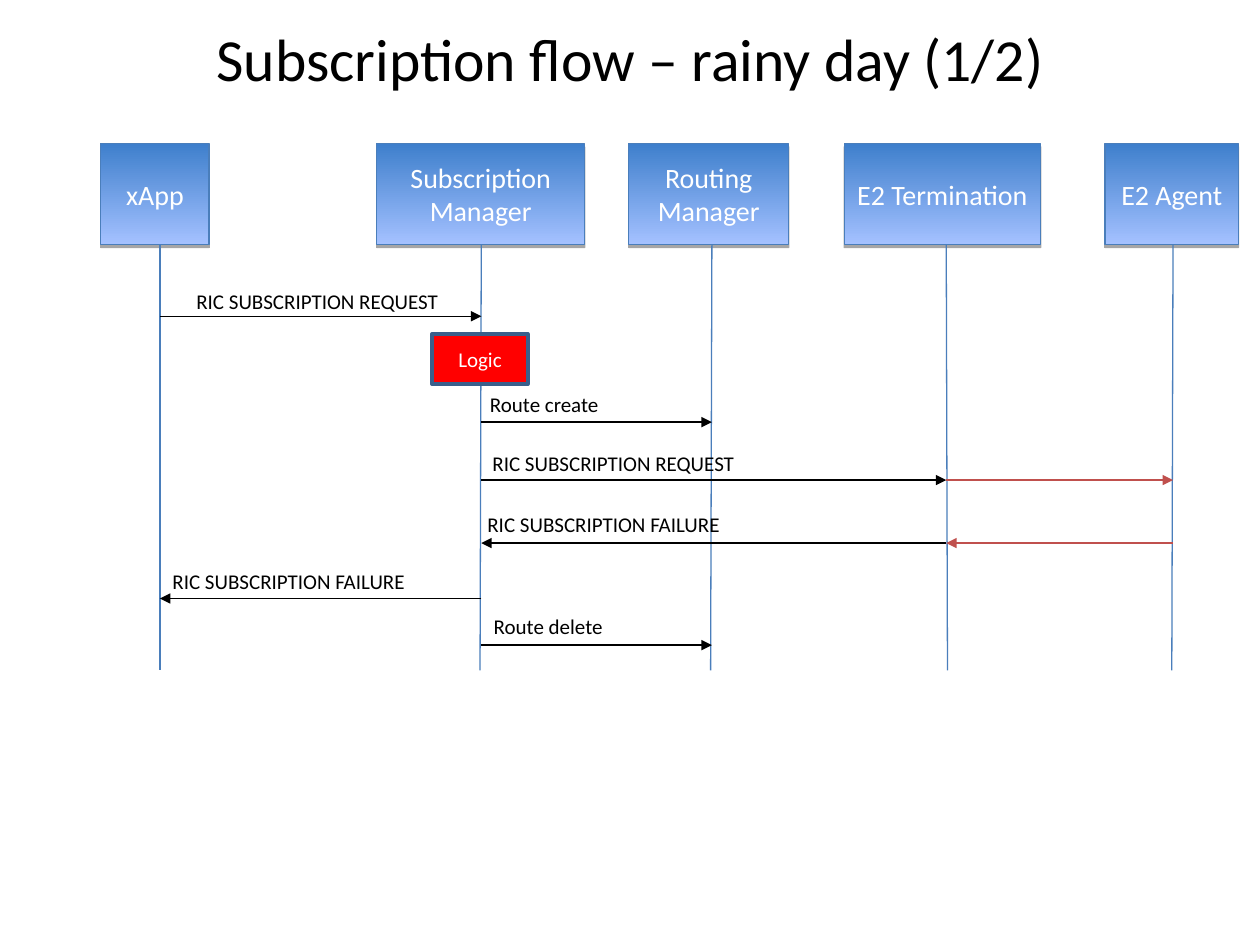
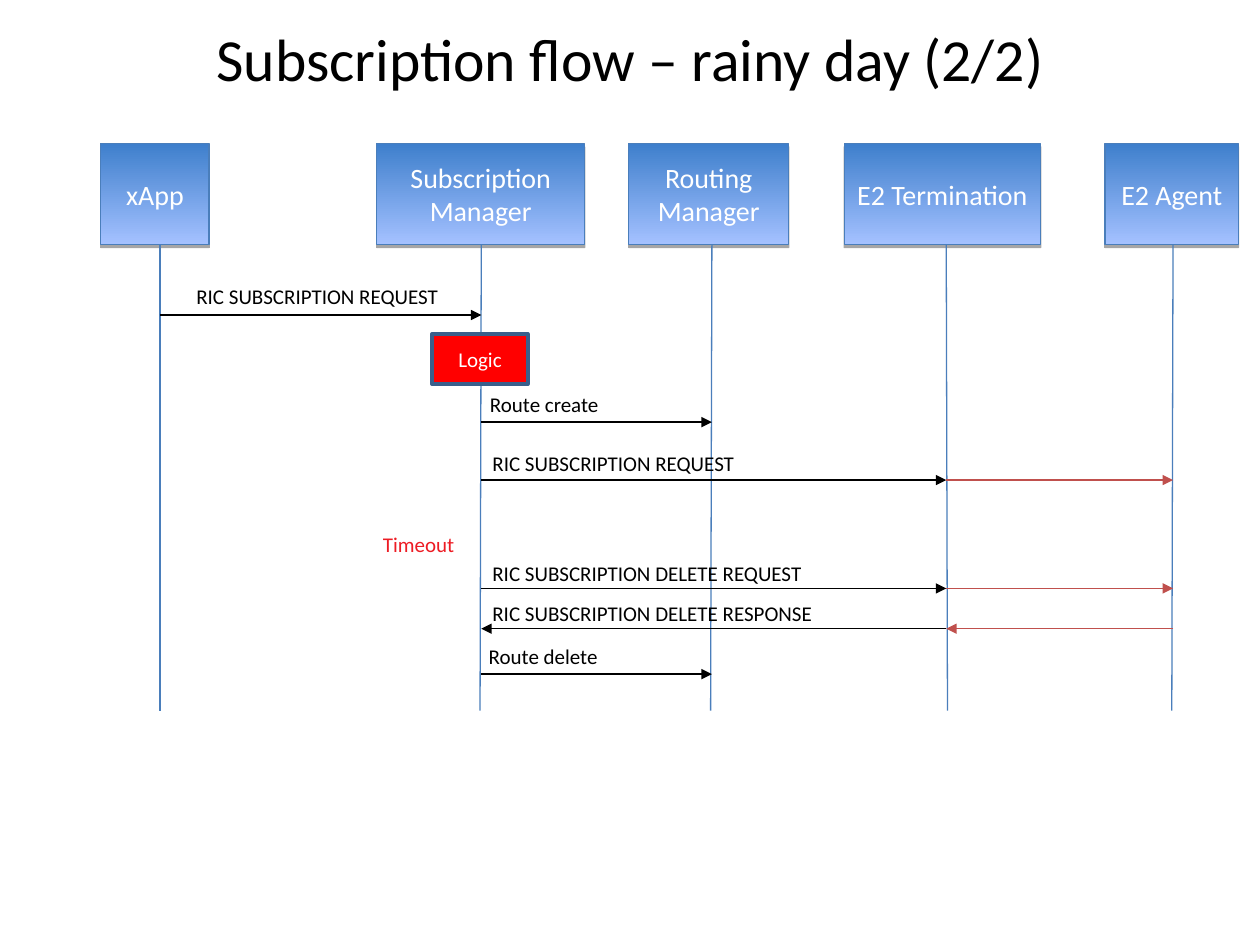
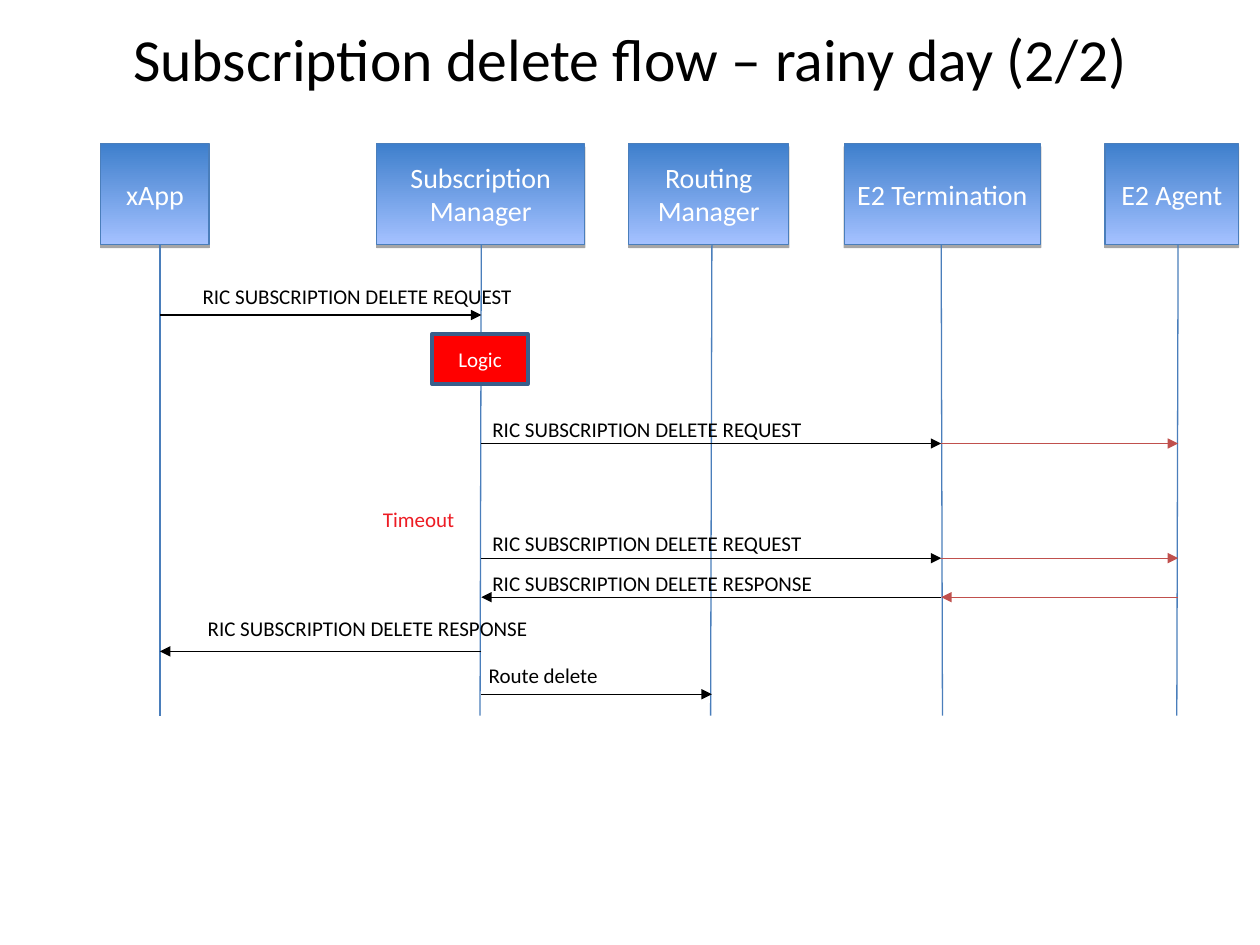
"""Build three sequence diagrams of subscription flows on a rainy day."""
from itertools import pairwise

from pptx import Presentation
from pptx.dml.color import RGBColor
from pptx.enum.shapes import MSO_CONNECTOR, MSO_SHAPE
from pptx.enum.text import MSO_ANCHOR, PP_ALIGN
from pptx.oxml.ns import qn
from pptx.util import Inches, Pt
from lxml.etree import SubElement

FONT = "Calibri"
COLORS = {
    "text": "000000", "white": "FFFFFF", "timeout": "ED1C24",
    "actor_top": "3E7FCC", "actor_bottom": "A4C1FF", "lifeline": "4A7EBB",
    "logic": "FF0000", "logic_line": "3A5F8B",
    "message": "000000", "agent_message": "C0504D",
}

ACTOR_TOP, ACTOR_HEIGHT = 1.14, 0.8
LIFELINE_TOP = ACTOR_TOP + ACTOR_HEIGHT
LABEL_HEIGHT = 0.3

# name: (text, left, width, lean of the lifeline)
ACTORS = {
    "app": ("xApp", 0.8, 0.86, 0),
    "sub": ("Subscription Manager", 2.99, 1.65, -0.01),
    "route": ("Routing\nManager", 4.99, 1.27, -0.01),
    "term": ("E2 Termination", 6.7, 1.56, 0.01),
    "agent": ("E2 Agent", 8.77, 1.06, -0.01),
}
LIFELINES = {"app": 1.27, "sub": 3.82, "route": 5.65, "term": 7.51, "agent": 9.31}

ASK = ("app", "sub")
ANSWER = ("sub", "app")
ROUTE = ("sub", "route")
FORWARD = ("sub", "term", "agent")
RETURN = ("agent", "term", "sub")

REQUEST = "RIC SUBSCRIPTION REQUEST"
FAILURE = "RIC SUBSCRIPTION FAILURE"
DELETE_REQUEST = "RIC SUBSCRIPTION DELETE REQUEST"
DELETE_RESPONSE = "RIC SUBSCRIPTION DELETE RESPONSE"

# messages: (actors passed, y, text, label left, label top, label width)
FLOWS = [
    {
        "title": "Subscription flow – rainy day (1/2)",
        "lifelines": LIFELINES, "bottom": 5.32, "timeout": None,
        "messages": [
            (ASK, 2.51, REQUEST, 1.46, 2.24, 2.12),
            (ROUTE, 3.35, "Route create", 3.79, 3.06, 1.33),
            (FORWARD, 3.81, REQUEST, 3.81, 3.53, 2.65),
            (RETURN, 4.31, FAILURE, 3.77, 4.01, 2.53),
            (ANSWER, 4.75, FAILURE, 1.27, 4.46, 2.55),
            (ROUTE, 5.12, "Route delete", 3.82, 4.82, 1.38),
        ],
    },
    {
        "title": "Subscription flow – rainy day (2/2)",
        "lifelines": LIFELINES, "bottom": 5.64, "timeout": 4.17,
        "messages": [
            (ASK, 2.5, REQUEST, 1.46, 2.2, 2.12),
            (ROUTE, 3.35, "Route create", 3.79, 3.06, 1.33),
            (FORWARD, 3.81, REQUEST, 3.81, 3.53, 2.65),
            (FORWARD, 4.67, DELETE_REQUEST, 3.81, 4.4, 3.36),
            (RETURN, 4.99, DELETE_RESPONSE, 3.81, 4.72, 3.47),
            (ROUTE, 5.35, "Route delete", 3.78, 5.06, 1.38),
        ],
    },
    {
        "title": "Subscription delete flow – rainy day (2/2)",
        "lifelines": LIFELINES | {"term": 7.47, "agent": 9.35},
        "bottom": 5.68, "timeout": 3.97,
        "messages": [
            (ASK, 2.5, DELETE_REQUEST, 1.51, 2.2, 2.74),
            (FORWARD, 3.52, DELETE_REQUEST, 3.81, 3.26, 3.36),
            (FORWARD, 4.43, DELETE_REQUEST, 3.81, 4.16, 3.36),
            (RETURN, 4.74, DELETE_RESPONSE, 3.81, 4.48, 3.44),
            (ANSWER, 5.17, DELETE_RESPONSE, 1.55, 4.84, 2.8),
            (ROUTE, 5.51, "Route delete", 3.78, 5.21, 1.38),
        ],
    },
]


def rgb(name):
    return RGBColor.from_string(COLORS[name])


def set_text(sp, text, size, color, align=PP_ALIGN.CENTER, anchor=MSO_ANCHOR.MIDDLE):
    tf = sp.text_frame
    tf.word_wrap = True
    tf.vertical_anchor = anchor
    tf.text = text
    for p in tf.paragraphs:
        p.alignment = align
        p.font.name, p.font.size = FONT, Pt(size)
        p.font.color.rgb = rgb(color)
    return tf


def add_title(s, text):
    sp = s.shapes.add_textbox(Inches(0.5), Inches(0.22), Inches(9), Inches(0.58))
    set_text(sp, text, 34.1, "text").paragraphs[0].line_spacing = 0.8


def add_label(s, text, left, top, width, color="text"):
    sp = s.shapes.add_textbox(Inches(left), Inches(top), Inches(width), Inches(LABEL_HEIGHT))
    set_text(sp, text, 12, color, PP_ALIGN.LEFT, MSO_ANCHOR.TOP)


def add_box(s, left, top, width, height, line, line_width):
    sp = s.shapes.add_shape(MSO_SHAPE.RECTANGLE, Inches(left), Inches(top),
                            Inches(width), Inches(height))
    sp.shadow.inherit = False
    sp.line.color.rgb = rgb(line)
    sp.line.width = Pt(line_width)
    return sp


def add_actor(s, text, left, width):
    sp = add_box(s, left, ACTOR_TOP, width, ACTOR_HEIGHT, "lifeline", 0.75)
    sp.fill.gradient()
    sp.fill.gradient_angle = 270
    for stop, color in zip(sp.fill.gradient_stops, ("actor_top", "actor_bottom")):
        stop.color.rgb = rgb(color)
    effects = sp._element.spPr.find(qn("a:effectLst"))
    shadow = SubElement(effects, qn("a:outerShdw"), dist=str(Pt(1.8)), dir="5400000",
                        rotWithShape="0")
    black = SubElement(shadow, qn("a:srgbClr"), val="000000")
    SubElement(black, qn("a:alpha"), val="35000")
    set_text(sp, text, 16, "white")


def add_logic(s):
    sp = add_box(s, 3.43, 2.65, 0.76, 0.4, "logic_line", 2)
    sp.fill.solid()
    sp.fill.fore_color.rgb = rgb("logic")
    set_text(sp, "Logic", 12, "white")


def add_line(s, x1, y1, x2, y2, color, arrow=False):
    c = s.shapes.add_connector(MSO_CONNECTOR.STRAIGHT, Inches(x1), Inches(y1),
                               Inches(x2), Inches(y2))
    c.line.color.rgb = rgb(color)
    c.line.width = Pt(0.75)
    if arrow:
        SubElement(c.line._get_or_add_ln(), qn("a:tailEnd"), type="triangle")
    SubElement(c._element.spPr, qn("a:effectLst"))


def add_flow(prs, flow):
    s = prs.slides.add_slide(prs.slide_layouts[6])
    add_title(s, flow["title"])
    x = flow["lifelines"]
    for name, (text, left, width, lean) in ACTORS.items():
        add_actor(s, text, left, width)
        add_line(s, x[name], LIFELINE_TOP, x[name] + lean, flow["bottom"], "lifeline")
    add_logic(s)
    for route, y, text, left, top, width in flow["messages"]:
        for leg in pairwise(route):
            color = "agent_message" if "agent" in leg else "message"
            add_line(s, x[leg[0]], y, x[leg[1]], y, color, arrow=True)
        add_label(s, text, left, top, width)
    if flow["timeout"]:
        add_label(s, "Timeout", 2.94, flow["timeout"], 0.96, "timeout")


def main():
    prs = Presentation()
    prs.slide_width, prs.slide_height = Inches(10), Inches(7.5)
    for flow in FLOWS:
        add_flow(prs, flow)
    prs.save("out.pptx")


if __name__ == "__main__":
    main()
